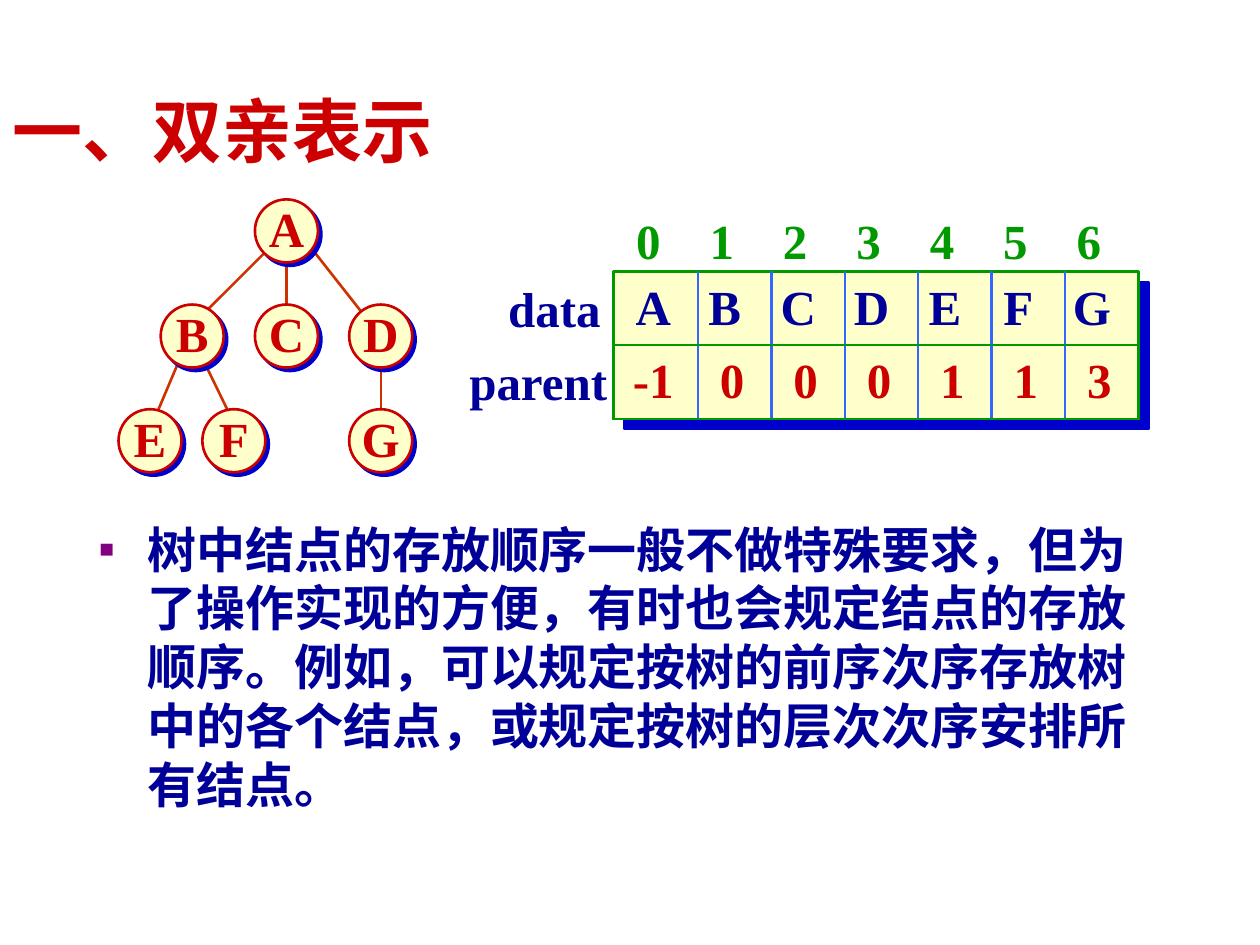
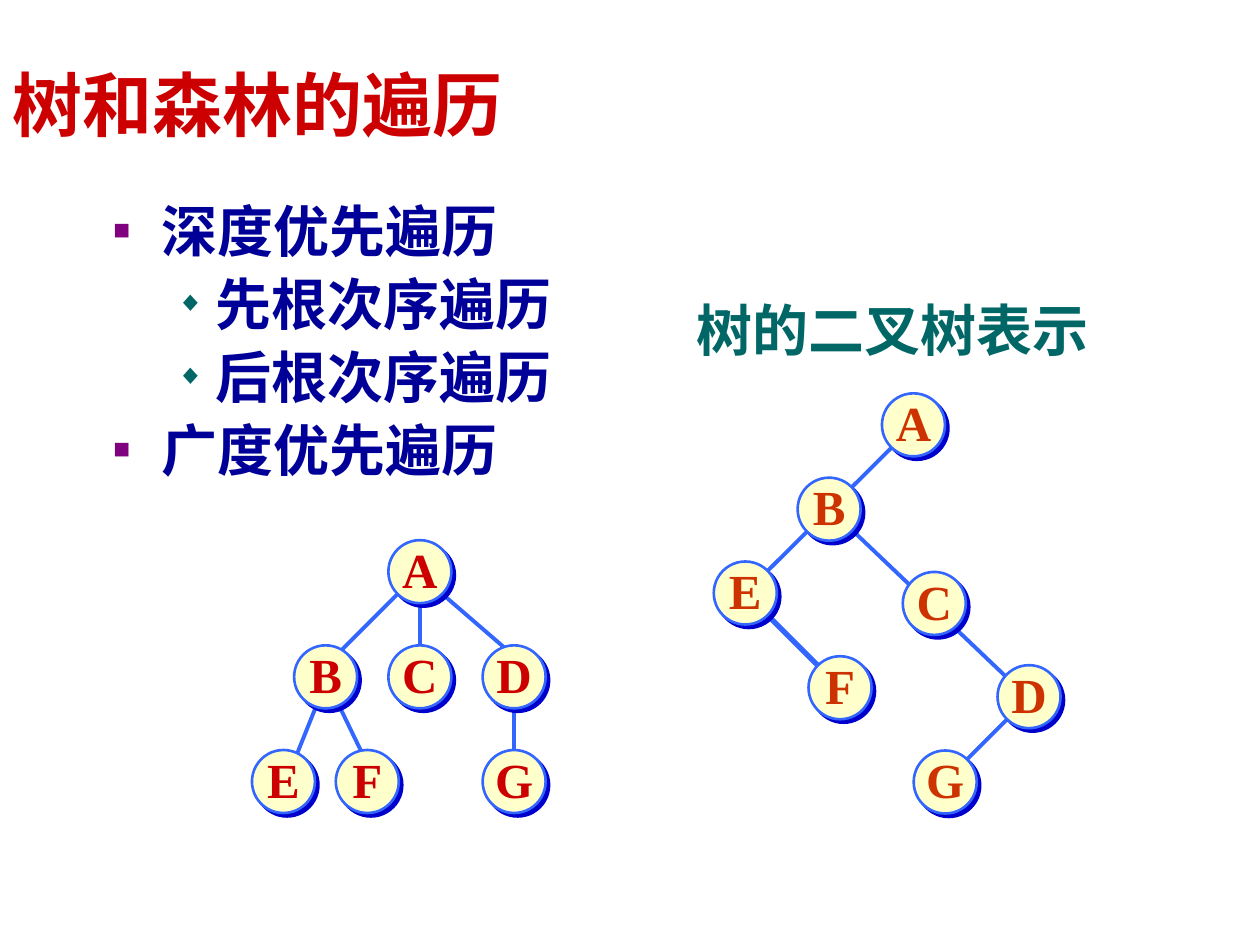
from lxml.etree import SubElement
from pptx import Presentation
from pptx.dml.color import RGBColor
from pptx.enum.shapes import MSO_CONNECTOR, MSO_SHAPE
from pptx.enum.text import MSO_ANCHOR, MSO_AUTO_SIZE, PP_ALIGN
from pptx.oxml import parse_xml
from pptx.oxml.ns import nsdecls, qn
from pptx.util import Cm, Pt

INK = {
    "red": "CC0000", "rust": "CC3300", "navy": "000099", "shade": "0000CC",
    "cream": "FFFFCC", "green": "009900", "blue": "3366FF",
    "teal": "006666", "plum": "800080",
}
SERIF, SANS = "Times New Roman", "Noto Sans CJK SC"
SIDE = 1.27


def write(para, text, size=28, color="navy", font=SERIF, align=PP_ALIGN.LEFT,
          pitch=None, before=0):
    """Put bold text in a paragraph, with its font, colour and spacing."""
    para.alignment = align
    para.space_before = Pt(before)
    if pitch:
        para.line_spacing = Pt(pitch)
    run = para.add_run()
    run.text = text
    run.font.size = Pt(size)
    run.font.bold = True
    run.font.name = font
    run.font.color.rgb = RGBColor.from_string(INK[color])
    SubElement(run._r.get_or_add_rPr(), qn("a:ea"), typeface=SANS)


def paint(shape, line, depth):
    """Give a shape the cream fill, an outline and a hard shadow."""
    shape.shadow.inherit = False
    shape.fill.solid()
    shape.fill.fore_color.rgb = RGBColor.from_string(INK["cream"])
    shape.line.color.rgb = RGBColor.from_string(INK[line])
    shape.line.width = Pt(1.5)
    effects = shape._element.spPr.find(qn("a:effectLst"))
    cast = SubElement(effects, qn("a:outerShdw"), blurRad="0",
                      dist=str(Pt(depth)), dir="2700000", algn="ctr", rotWithShape="0")
    SubElement(cast, qn("a:srgbClr"), val=INK["shade"])


deck = Presentation()
deck.slide_width, deck.slide_height = Cm(25.4), Cm(19.05)

# Titles and lists
# Each list item: level, text. Each level: indent, hang, bullet, colour.
LEVELS = [(0.97, 0.97, "■", "plum"), (2.06, 0.79, "◆", "teal")]
PAGES = [
    ("一、双亲表示", (1.32, 2.57), (1.75, 10.34, 22.05, 6.88), 28, [
        (0, "树中结点的存放顺序一般不做特殊要求，但为了操作实现的方便，"
            "有时也会规定结点的存放顺序。例如，可以规定按树的前序次序存放树"
            "中的各个结点，或规定按树的层次次序安排所有结点。")]),
    ("树和森林的遍历", (0.91, 2.36), (2.03, 3.84, 22.86, 6.6), 32, [
        (0, "深度优先遍历"), (1, "先根次序遍历"),
        (1, "后根次序遍历"), (0, "广度优先遍历")]),
]
slides = []
for name, (top, high), area, size, items in PAGES:
    slide = deck.slides.add_slide(deck.slide_layouts[1])
    slides.append(slide)
    title, body = slide.placeholders
    title.left, title.top, title.width, title.height = Cm(0), Cm(top), Cm(22.86), Cm(high)
    title.text_frame.vertical_anchor = MSO_ANCHOR.MIDDLE
    write(title.text_frame.paragraphs[0], name, size=40, color="red", font=SANS)

    body.left, body.top, body.width, body.height = [Cm(n) for n in area]
    frame = body.text_frame
    frame.auto_size = MSO_AUTO_SIZE.NONE
    for i, (level, text) in enumerate(items):
        para = frame.add_paragraph() if i else frame.paragraphs[0]
        para.level = level
        write(para, text, size=size, font=SANS, pitch=size * 1.2, before=3.2)
        left, hang, mark, color = LEVELS[level]
        props = para._p.get_or_add_pPr()
        props.set("marL", str(Cm(left)))
        props.set("indent", str(-Cm(hang)))
        tint = SubElement(props, qn("a:buClr"))
        SubElement(tint, qn("a:srgbClr"), val=INK[color])
        SubElement(props, qn("a:buSzPct"), val="50000")
        SubElement(props, qn("a:buChar"), char=mark)
first, second = slides

# Trees: nodes and edges are measured from the corner of the root
TREE = {"A": (0, 0), "B": (-1.9, 2.12), "C": (0, 2.12), "D": (1.9, 2.12),
        "E": (-2.75, 4.23), "F": (-1.06, 4.23), "G": (1.9, 4.23)}
BINARY = {"A": (0, 0), "B": (-1.7, 1.7), "C": (0.42, 3.6), "D": (2.33, 5.48),
          "E": (-3.39, 3.39), "F": (-1.48, 5.3), "G": (0.64, 7.2)}
SHARED = [(0.2, 1.07, -1.07, 2.34), (0.64, 1.07, 0.64, 2.34),
          (-1.07, 3.18, -0.43, 4.5), (2.54, 3.18, 2.54, 4.5)]
STEEP = [(1.04, 0.86, 2.54, 2.77), (-1.5, 3.18, -2.13, 4.67)]
FLAT = [(1.07, 1.07, 2.54, 2.34), (-1.47, 3.38, -1.9, 4.45)]
CHAINS = [(0.43, 0.86, -2.54, 3.81), (-0.64, 2.72, 2.74, 5.94),
          (2.74, 6.35, 1.47, 7.62), (-2.54, 4.24, -1.27, 5.51, 3)]
FOREST = [
    (first, 5.14, 4.02, TREE, SHARED + STEEP, "rust", 1.5, "red", "red"),
    (second, 7.83, 10.89, TREE, SHARED + FLAT, "blue", 2.25, "blue", "red"),
    (second, 17.78, 7.93, BINARY, CHAINS, "blue", 2.25, "blue", "rust"),
]
for slide, left, top, nodes, edges, link, width, ring, color in FOREST:
    for x1, y1, x2, y2, *bold in edges:
        edge = slide.shapes.add_connector(
            MSO_CONNECTOR.STRAIGHT, Cm(left + x1), Cm(top + y1), Cm(left + x2), Cm(top + y2))
        edge.line.color.rgb = RGBColor.from_string(INK[link])
        edge.line.width = Pt(bold[0] if bold else width)
        SubElement(edge._element.spPr, qn("a:effectLst"))
    for name, (x, y) in nodes.items():
        node = slide.shapes.add_shape(
            MSO_SHAPE.OVAL, Cm(left + x), Cm(top + y), Cm(SIDE), Cm(SIDE))
        paint(node, ring, 2.8)
        frame = node.text_frame
        frame.word_wrap = False
        frame.vertical_anchor = MSO_ANCHOR.MIDDLE
        frame.margin_left = frame.margin_right = frame.margin_top = 0
        frame.margin_bottom = Cm(0.12)
        write(frame.paragraphs[0], name, color=color, align=PP_ALIGN.CENTER)

# Array of nodes with their parents
LEFT, TOP, HEAD, STEP, ROW = 12.37, 5.48, 1.7, 1.48, 1.48
ROWS = [("ABCDEFG", "navy"), (["-1", "0", "0", "0", "1", "1", "3"], "red")]
wide = HEAD + 6 * STEP
base = first.shapes.add_shape(MSO_SHAPE.RECTANGLE, Cm(LEFT), Cm(TOP), Cm(wide), Cm(2 * ROW))
paint(base, "green", 8.5)
table = first.shapes.add_table(2, 7, Cm(LEFT), Cm(TOP), Cm(wide), Cm(2 * ROW)).table
table.first_row = table.horz_banding = False
for c in range(7):
    table.columns[c].width = Cm(STEP if c else HEAD)
for r, (values, color) in enumerate(ROWS):
    table.rows[r].height = Cm(ROW)
    for c, value in enumerate(values):
        cell = table.cell(r, c)
        cell.margin_left = cell.margin_top = cell.margin_bottom = 0
        cell.margin_right = Cm(0.4 if c and r == 0 else 0.1)
        cell.vertical_anchor = MSO_ANCHOR.MIDDLE
        write(cell.text_frame.paragraphs[0], value, color=color, align=PP_ALIGN.CENTER)
        sides = {"L": "blue" if c else "green", "R": "blue" if c < 6 else "green",
                 "T": "green", "B": "green"}
        for side, tone in sides.items():
            cell._tc.get_or_add_tcPr().append(parse_xml(
                f'<a:ln{side} {nsdecls("a")} w="{Pt(1.5)}"><a:solidFill>'
                f'<a:srgbClr val="{INK[tone]}"/></a:solidFill></a:ln{side}>'))
        cell.fill.solid()
        cell.fill.fore_color.rgb = RGBColor.from_string(INK["cream"])

# Free labels: slide, text, left, top, width, format
mid = {"align": PP_ALIGN.CENTER}
labels = [(first, str(i), 12.33 + i * STEP, 4.11, STEP, {"color": "green", **mid})
          for i in range(7)]
labels += [
    (first, "data", 9.98, 5.48, 2.39, mid),
    (first, "parent", 9.2, 6.96, 3.3, mid),
    (second, "树的二叉树表示", 13.79, 5.84, 8.69, {"size": 32, "color": "teal", "pitch": 38.4}),
]
for slide, text, left, top, width, form in labels:
    frame = slide.shapes.add_textbox(Cm(left), Cm(top), Cm(width), Cm(1.45)).text_frame
    frame.word_wrap = True
    write(frame.paragraphs[0], text, **form)

deck.save("out.pptx")
